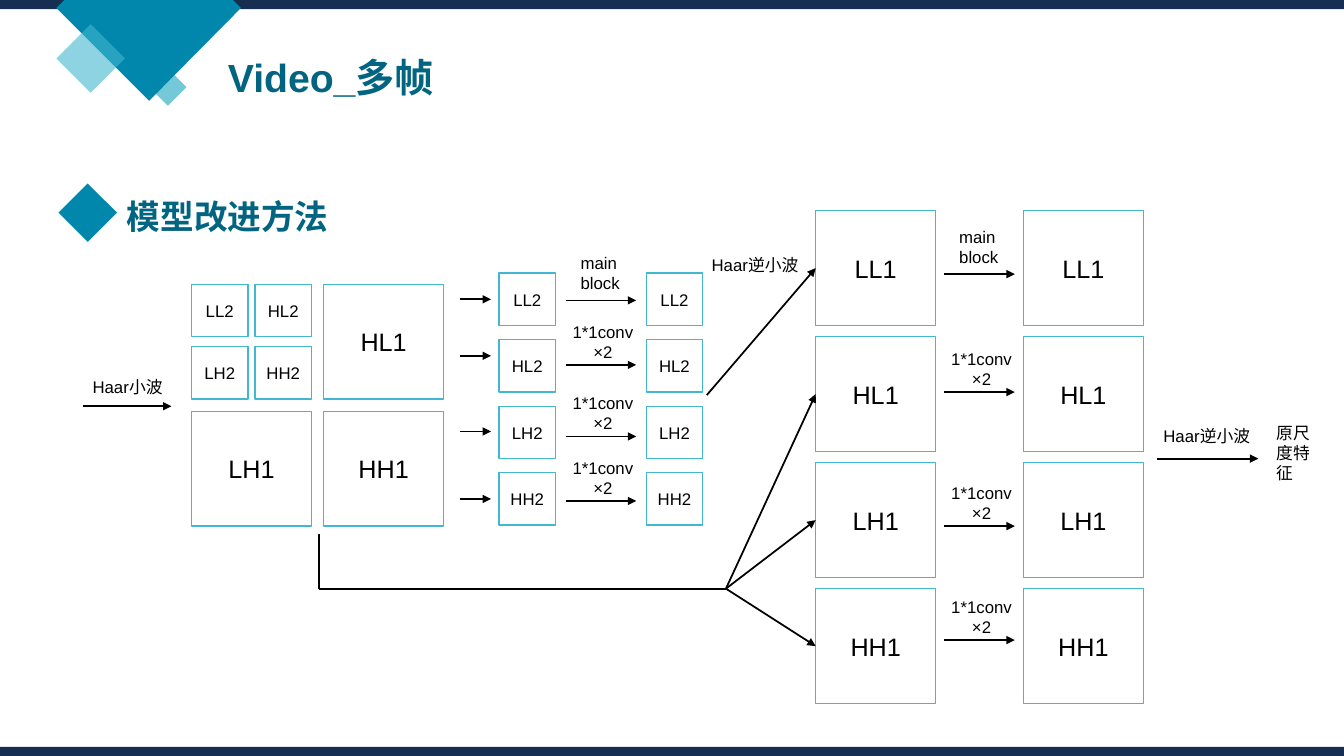
from lxml import etree
from pptx import Presentation
from pptx import util as u
from pptx.dml.color import RGBColor
from pptx.enum import shapes, text
from pptx.oxml import ns

NAVY = RGBColor(0x15, 0x2E, 0x52)
TEAL = RGBColor(0x01, 0x87, 0xAC)
DEEP_TEAL = RGBColor(0x01, 0x65, 0x81)
SEA = RGBColor(0x1A, 0xA4, 0xBE)
SKY = RGBColor(0x41, 0xB7, 0xD0)
WHITE = RGBColor(0xFF, 0xFF, 0xFF)
BLACK = RGBColor(0, 0, 0)
RECT = shapes.MSO_SHAPE.RECTANGLE
DIAMOND = shapes.MSO_SHAPE.DIAMOND
CENTER = text.PP_ALIGN.CENTER
LEFT = text.PP_ALIGN.LEFT
LARGE = (1.19, 1.14)
SMALL = (0.56, 0.52)


def inches(*lengths):
    """Turn plain numbers into lengths in inches."""
    return [u.Inches(length) for length in lengths]


def write(frame, words, size, color=BLACK, align=LEFT, bold=False):
    """Fill a text frame and format every run in it."""
    frame.word_wrap = True
    frame.text = words
    for paragraph in frame.paragraphs:
        paragraph.alignment = align
        for run in paragraph.runs:
            run.font.name = "Arial"
            run.font.size = u.Pt(size)
            run.font.bold = bold
            run.font.color.rgb = color


def label(slide, box, words, size=12, **style):
    """Add a text box with formatted words."""
    caption = slide.shapes.add_textbox(*inches(*box))
    write(caption.text_frame, words, size, **style)


def paint(figure, color, alpha=None):
    """Give a figure a flat fill without outline or shadow."""
    figure.shadow.inherit = False
    figure.line.fill.background()
    figure.fill.solid()
    figure.fill.fore_color.rgb = color
    if alpha is not None:
        tint = figure.fill._xPr.find(".//" + ns.qn("a:srgbClr"))
        etree.SubElement(tint, ns.qn("a:alpha"), val=str(alpha * 1000))


def ornament(slide, kind, box, color, alpha=None):
    """Add a decorative preset shape."""
    paint(slide.shapes.add_shape(kind, *inches(*box)), color, alpha)


def band(slide, left, top, name, size):
    """Add one wavelet band as an outlined rectangle."""
    tile = slide.shapes.add_shape(RECT, *inches(left, top, *size))
    paint(tile, WHITE)
    tile.line.color.rgb = SKY
    tile.line.width = u.Pt(1)
    write(tile.text_frame, name, 18 if size == LARGE else 12, align=CENTER)
    tile.text_frame.vertical_anchor = text.MSO_ANCHOR.MIDDLE
    return tile


def link(slide, start, end, target=None, head=True, width=1.25):
    """Draw a straight line, optionally ending at a band's left side."""
    line = slide.shapes.add_connector(
        shapes.MSO_CONNECTOR.STRAIGHT, *inches(*start, *end))
    line.line.color.rgb = BLACK
    line.line.width = u.Pt(width)
    if head:
        etree.SubElement(line.line._get_or_add_ln(), ns.qn("a:tailEnd"), type="triangle")
    etree.SubElement(line._element.spPr, ns.qn("a:effectLst"))
    if target is not None:
        line.end_connect(target, 1)


def header(slide, left, top, width, height):
    """Place the bars, the diamond cluster and the title."""
    ornament(slide, DIAMOND, (left + 1.48, top + 0.68, 0.37, 0.37), SEA, 60)
    ornament(slide, RECT, (left, top, width, 0.09), NAVY)
    corners = [(0.64, 0), (2.31, 0), (2.39, 0.08), (1.48, 1), (0.56, 0.08)]
    points = [inches(left + x, top + y) for x, y in corners]
    wedge = slide.shapes.build_freeform(*points[0])
    wedge.add_line_segments(points[1:], close=True)
    paint(wedge.convert_to_shape(), TEAL)
    ornament(slide, DIAMOND, (left + 0.56, top + 0.24, 0.68, 0.68), SKY, 60)
    ornament(slide, RECT, (left, top + height - 0.09, width, 0.09), NAVY)
    title = slide.shapes.title
    title.left, title.top, title.width, title.height = inches(
        left + 2.16, top + 0.48, 4.86, 0.57)
    write(title.text_frame, "Video_多帧", 28, color=DEEP_TEAL, bold=True)
    title.text_frame.vertical_anchor = text.MSO_ANCHOR.MIDDLE


def section_heading(slide, left, top):
    """Place the section heading with its diamond marker."""
    ornament(slide, DIAMOND, (left, top, 0.58, 0.58), TEAL)
    label(slide, (left + 0.58, top + 0.07, 2.44, 0.5), "模型改进方法", 24,
          color=DEEP_TEAL, bold=True)


def decomposition(slide, left, top):
    """Place the two-level wavelet decomposition and its input arrow."""
    link(slide, (left - 1.08, top + 1.21), (left - 0.2, top + 1.21))
    label(slide, (left - 1.08, top + 0.87, 1.26, 0.3), "Haar小波")
    for index, name in enumerate(("LL2", "HL2", "LH2", "HH2")):
        row, column = divmod(index, 2)
        band(slide, left + 0.63 * column, top + 0.62 * row, name, SMALL)
    for name, column, row in (("LH1", 0, 1), ("HL1", 1, 0), ("HH1", 1, 1)):
        band(slide, left + 1.31 * column, top + 1.26 * row, name, LARGE)


def processing(slide, left, top, level, size, pitch, shift, arrow_drops):
    """Place four band rows with their operations; return the input bands."""
    inputs = []
    for row, (kind, drop) in enumerate(zip(("LL", "HL", "LH", "HH"), arrow_drops)):
        row_top = top + pitch * row
        name = f"{kind}{level}"
        inputs.append(band(slide, left, row_top, name, size))
        band(slide, left + shift, row_top, name, size)
        start = left + (size[0] + left + shift - left - 0.7) / 2
        y = row_top + drop
        link(slide, (start, y), (start + 0.7, y))
        if kind == "LL":
            label(slide, (start + 0.05, y - 0.52, 0.91, 0.5), "main\nblock")
        else:
            label(slide, (start - 0.04, y - 0.48, 0.82, 0.5), "1*1conv\n×2", align=CENTER)
    return inputs


def split_arrows(slide, left, top):
    """Place the short arrows that lead to the level 2 bands."""
    for drop in (0, 0.56, 1.31, 1.98):
        link(slide, (left, top + drop), (left + 0.31, top + drop))


def merging(slide, left, top, targets):
    """Lead the level 2 result and the other level 1 bands to the targets."""
    low, *details = targets
    link(slide, (left + 3.85, top - 1.38), (left + 4.93, top - 2.64), low)
    label(slide, (left + 3.8, top - 2.82, 1.26, 0.3), "Haar逆小波")
    corner, fork = (left, top + 0.54), (left + 4.04, top + 0.54)
    link(slide, (left, top), corner, head=False, width=1.5)
    link(slide, corner, fork, head=False, width=1.5)
    for detail in details:
        link(slide, fork, (left + 4.93, top), detail)


def result(slide, left, top):
    """Place the final inverse transform and its outcome."""
    link(slide, (left + 0.04, top + 0.38), (left + 1.04, top + 0.38))
    label(slide, (left, top, 1.26, 0.3), "Haar逆小波")
    label(slide, (left + 1.12, top - 0.03, 0.67, 0.71), "原尺度特征")


def main():
    """Build the slide and save it."""
    deck = Presentation()
    deck.slide_width, deck.slide_height = inches(13.33, 7.5)
    slide = deck.slides.add_slide(deck.slide_layouts[5])
    header(slide, 0, 0, 13.33, 7.5)
    section_heading(slide, 0.58, 1.82)
    decomposition(slide, 1.9, 2.82)
    split_arrows(slide, 4.56, 2.97)
    processing(slide, 4.95, 2.71, 2, SMALL, 0.66, 1.46, (0.27, 0.25, 0.3, 0.28))
    level_one = processing(slide, 8.09, 2.09, 1, LARGE, 1.25, 2.06,
                           (0.63, 0.55, 0.63, 0.51))
    merging(slide, 3.16, 5.3, level_one)
    result(slide, 11.44, 4.17)
    deck.save("out.pptx")


if __name__ == "__main__":
    main()
